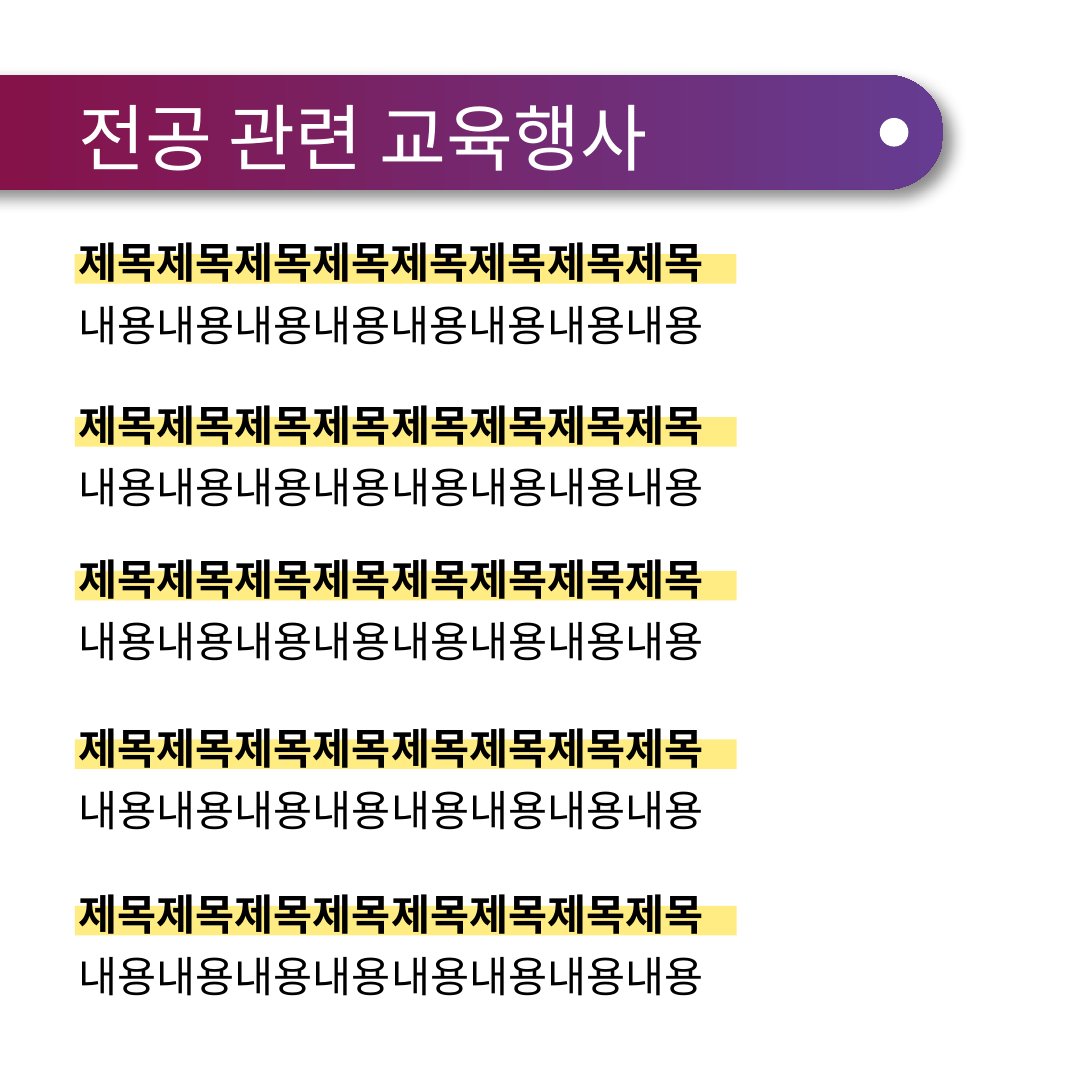
from lxml import etree
from pptx import Presentation
from pptx import util as u
from pptx.dml.color import RGBColor
from pptx.enum import shapes, text
from pptx.oxml import ns


def color(hex_value):
    return RGBColor.from_string(hex_value)


def add_xml(parent, tag, **attributes):
    return etree.SubElement(parent, ns.qn(tag), attributes)


class SlideBuilder:
    font_name = "Noto Sans CJK KR"
    black = "000000"
    white = "FFFFFF"

    def __init__(self, slide):
        self.slide = slide

    def add_text(self, frame, wording, size, font_color, bold=False):
        paragraph = frame.paragraphs[0]
        paragraph.alignment = text.PP_ALIGN.LEFT
        run = paragraph.add_run()
        run.text = wording
        run.font.name = self.font_name
        run.font.size = u.Pt(size)
        run.font.bold = bold
        run.font.color.rgb = color(font_color)
        # Korean letters take the East Asian font
        add_xml(run.font._element, "a:ea", typeface=self.font_name)
        return paragraph

    def shape(self, kind, left, top, width, height, fill=None, opacity=100):
        shape = self.slide.shapes.add_shape(
            kind, u.Cm(left), u.Cm(top), u.Cm(width), u.Cm(height))
        shape.shadow.inherit = False
        shape.line.fill.background()
        if fill:
            shape.fill.solid()
            shape.fill.fore_color.rgb = color(fill)
        if opacity < 100:
            fill_color = shape._element.spPr.find(".//" + ns.qn("a:srgbClr"))
            add_xml(fill_color, "a:alpha", val=str(opacity * 1000))
        return shape

    def banner(self, left, top, width, height, start, end):
        shape = self.shape(shapes.MSO_SHAPE.ROUNDED_RECTANGLE,
                           left, top, width, height)
        shape.adjustments[0] = 0.5
        shape.fill.gradient()
        shape.fill.gradient_angle = 0
        for stop, stop_color in zip(shape.fill.gradient_stops, (start, end)):
            stop.color.rgb = color(stop_color)
        # Soft shadow to the lower right
        effects = shape._element.spPr.find(ns.qn("a:effectLst"))
        shadow = add_xml(effects, "a:outerShdw", blurRad=str(u.Pt(30)),
                         dist=str(u.Pt(22.6)), dir="2700000", algn="tl",
                         rotWithShape="0")
        shadow_color = add_xml(shadow, "a:srgbClr", val=self.black)
        add_xml(shadow_color, "a:alpha", val="45000")

    def title(self, left, top, width, height, wording):
        title = self.slide.shapes.title
        title.left, title.top = u.Cm(left), u.Cm(top)
        title.width, title.height = u.Cm(width), u.Cm(height)
        frame = title.text_frame
        frame.auto_size = text.MSO_AUTO_SIZE.NONE
        frame.vertical_anchor = text.MSO_ANCHOR.MIDDLE
        self.add_text(frame, wording, 144, self.white).line_spacing = 0.9
        # Bring the title in front of the banner
        self.slide.shapes._spTree.append(title._element)

    def text_box(self, left, top, width, wording, bold=False):
        box = self.slide.shapes.add_textbox(
            u.Cm(left), u.Cm(top), u.Cm(width), u.Cm(3.84))
        frame = box.text_frame
        frame.word_wrap = True
        frame.auto_size = text.MSO_AUTO_SIZE.SHAPE_TO_FIT_TEXT
        self.add_text(frame, wording, 84, self.black, bold)

    def entry(self, left, top, heading_width, heading, body):
        self.shape(shapes.MSO_SHAPE.RECTANGLE, left, top + 1.36, 46.18, 2.06,
                   "FFDA09", opacity=50)
        self.text_box(left, top, heading_width, heading, bold=True)
        self.text_box(left, top + 4.33, 45.14, body)


def main():
    presentation = Presentation()
    presentation.slide_width = presentation.slide_height = u.Cm(76.2)
    builder = SlideBuilder(
        presentation.slides.add_slide(presentation.slide_layouts[5]))

    # Header
    builder.banner(-9.35, 5.23, 75.18, 8, "8A0C3E", "653C91")
    builder.shape(shapes.MSO_SHAPE.OVAL, 61.39, 8.23, 2, 2, builder.white)
    builder.title(5.23, 2.54, 54.91, 14.73, "전공 관련 교육행사")

    # Entries: left, top and heading width
    entries = [(5.21, 16.38, 68.22), (5.23, 27.74, 65.71), (5.23, 38.48, 68.2),
               (5.23, 50.24, 68.99), (5.23, 61.85, 68.2)]
    for left, top, heading_width in entries:
        builder.entry(left, top, heading_width, "제목" * 8, "내용" * 8)

    presentation.save("out.pptx")


if __name__ == "__main__":
    main()
